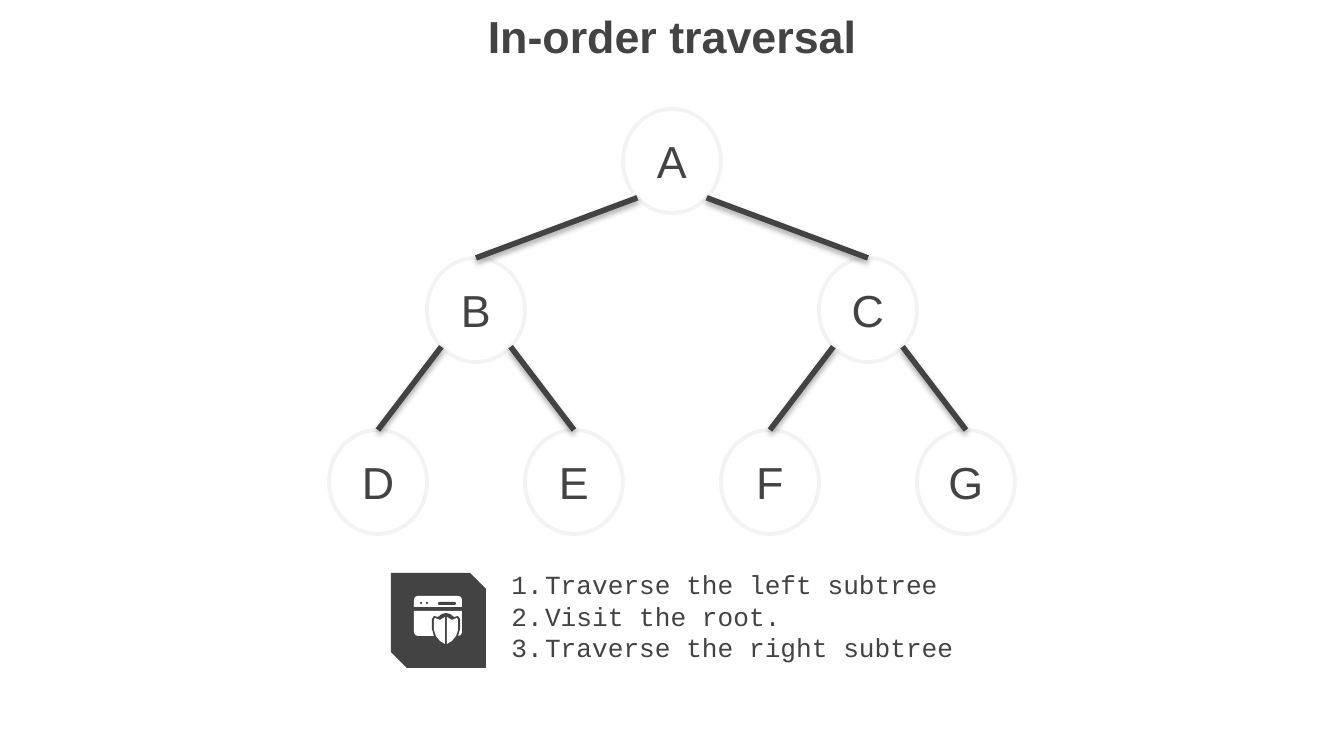
"""Builds a slide that explains in-order traversal with a binary tree."""
from dataclasses import dataclass
from math import sqrt

from lxml import etree
from pptx import Presentation
from pptx.dml.color import RGBColor
from pptx.enum.shapes import MSO_CONNECTOR, MSO_SHAPE
from pptx.enum.text import MSO_ANCHOR, MSO_AUTO_SIZE, PP_ALIGN
from pptx.oxml import parse_xml
from pptx.oxml.ns import qn
from pptx.util import Emu, Pt

OVAL, ROUNDED = MSO_SHAPE.OVAL, MSO_SHAPE.ROUNDED_RECTANGLE
SNIPPED, WINDOW = MSO_SHAPE.SNIP_2_DIAG_RECTANGLE, MSO_SHAPE.ROUND_2_SAME_RECTANGLE
STRAIGHT = MSO_CONNECTOR.STRAIGHT
TOP, MIDDLE = MSO_ANCHOR.TOP, MSO_ANCHOR.MIDDLE
LEFT, CENTER = PP_ALIGN.LEFT, PP_ALIGN.CENTER
FIXED = MSO_AUTO_SIZE.NONE
SCALE = 914400 / 134.4
SHADOW = (
    '<a:effectLst xmlns:a="http://schemas.openxmlformats.org/drawingml/2006/main">'
    '<a:outerShdw blurRad="40000" dist="23000" dir="5400000" rotWithShape="0">'
    '<a:srgbClr val="000000"><a:alpha val="35000"/></a:srgbClr>'
    '</a:outerShdw></a:effectLst>'
)


def px(n):
    return Emu(round(n * SCALE))


@dataclass(frozen=True)
class Theme:
    ink: RGBColor = RGBColor.from_string("434343")
    paper: RGBColor = RGBColor.from_string("FFFFFF")
    rim: RGBColor = RGBColor.from_string("F3F3F3")
    sans: str = "Arial"
    mono: str = "Courier New"
    large: int = 24
    small: int = 14
    indent: int = 18


class Deck:
    def __init__(self, theme):
        self.theme = theme
        self.prs = Presentation()
        self.prs.slide_width, self.prs.slide_height = px(1344), px(756)
        self.s = self.prs.slides.add_slide(self.prs.slide_layouts[1])

    def place(self, sp, x, y, w, h):
        sp.left, sp.top, sp.width, sp.height = px(x), px(y), px(w), px(h)
        tf = sp.text_frame
        tf.word_wrap, tf.auto_size, tf.vertical_anchor = True, FIXED, TOP
        return tf

    def run(self, p, text, font, size, bold=False):
        r = p.add_run()
        r.text = text
        r.font.name, r.font.size, r.font.bold = font, Pt(size), bold
        r.font.color.rgb = self.theme.ink

    def title(self, text, x, y, w, h):
        tf = self.place(self.s.shapes.title, x, y, w, h)
        tf.margin_left = tf.margin_right = tf.margin_top = tf.margin_bottom = px(13)
        p = tf.paragraphs[0]
        p.alignment = CENTER
        self.run(p, text, self.theme.sans, self.theme.large, True)

    def numbered(self, items, x, y, w, h):
        tf = self.place(self.s.placeholders[1], x, y, w, h)
        indent = Pt(self.theme.indent)
        for i, item in enumerate(items):
            p = tf.add_paragraph() if i else tf.paragraphs[0]
            p.alignment, p.line_spacing = LEFT, 1.0
            p.space_before = p.space_after = Pt(0)
            pPr = p._p.get_or_add_pPr()
            pPr.set("marL", str(indent))
            pPr.set("indent", str(-indent))
            etree.SubElement(pPr, qn("a:buFont"), typeface=self.theme.mono)
            etree.SubElement(pPr, qn("a:buAutoNum"), type="arabicPeriod")
            self.run(p, item, self.theme.mono, self.theme.small)

    def paint(self, sp, fill):
        sp.shadow.inherit = False
        sp.fill.solid()
        sp.fill.fore_color.rgb = fill
        sp.line.fill.background()
        return sp

    def shape(self, kind, x, y, w, h, fill, adj=()):
        sp = self.s.shapes.add_shape(kind, px(x), px(y), px(w), px(h))
        for i, value in enumerate(adj):
            sp.adjustments[i] = value
        return self.paint(sp, fill)

    def polygon(self, points, fill):
        start, *rest = [(px(x), px(y)) for x, y in points]
        builder = self.s.shapes.build_freeform(*start)
        builder.add_line_segments(rest, close=True)
        return self.paint(builder.convert_to_shape(), fill)

    def node(self, text, cx, top, w, h):
        sp = self.shape(OVAL, cx - w // 2, top, w, h, self.theme.paper)
        sp.line.color.rgb, sp.line.width = self.theme.rim, Pt(2)
        tf = sp.text_frame
        tf.vertical_anchor = MIDDLE
        p = tf.paragraphs[0]
        p.alignment = CENTER
        self.run(p, text, self.theme.sans, self.theme.large)
        return sp

    def edge(self, parent, child, side):
        reach = 1 / sqrt(8)
        x = round(parent.left + parent.width * (0.5 + side * reach))
        y = round(parent.top + parent.height * (0.5 + reach))
        line = self.s.shapes.add_connector(STRAIGHT, x, y, child.left, child.top)
        line.end_connect(child, 0)
        line.line.color.rgb, line.line.width = self.theme.ink, Pt(3)
        line._element.spPr.append(parse_xml(SHADOW))

    def tree(self, levels, cx, w, h):
        parents = []
        for labels, top, spread in levels:
            nodes = []
            for i, label in enumerate(labels):
                side = 2 * (i % 2) - 1
                parent = parents[i // 2] if parents else None
                mid = parent[1] + side * spread if parent else cx
                nodes.append((self.node(label, mid, top, w, h), mid))
                if parent:
                    self.edge(parent[0], nodes[-1][0], side)
            parents = nodes

    def icon(self, x, y):
        ink, paper = self.theme.ink, self.theme.paper
        self.shape(SNIPPED, x, y, 95, 95, ink, (0, 0.167))
        self.shape(WINDOW, x + 23, y + 23, 48, 11, paper, (0.36, 0))
        for dot in (29, 35):
            self.shape(OVAL, x + dot, y + 29, 2, 2, ink)
        self.shape(ROUNDED, x + 47, y + 29, 18, 3, ink, (0.5,))
        self.shape(WINDOW, x + 23, y + 38, 48, 25, paper, (0, 0.16))
        rim = [(0, 40), (4, 41), (8, 44), (12, 43), (14, 46), (14, 56), (12, 63), (0, 63)]
        half = [(1, 44), (6, 47), (11, 45), (12, 47), (12, 57), (10, 63), (6, 68), (1, 71)]
        for points, fill in ((rim, ink), (half, paper)):
            for side in (-1, 1):
                self.polygon([(x + 55 + side * dx, y + dy) for dx, dy in points], fill)


def main():
    deck = Deck(Theme())
    deck.title("In-order traversal", 289, -4, 766, 138)
    deck.icon(391, 573)
    deck.tree([("A", 109, 0), ("BC", 258, 196), ("DEFG", 430, 98)], 672, 98, 104)
    steps = ["Traverse the left subtree", "Visit the root.", "Traverse the right subtree"]
    deck.numbered(steps, 498, 562, 672, 140)
    deck.prs.save("out.pptx")


if __name__ == "__main__":
    main()
